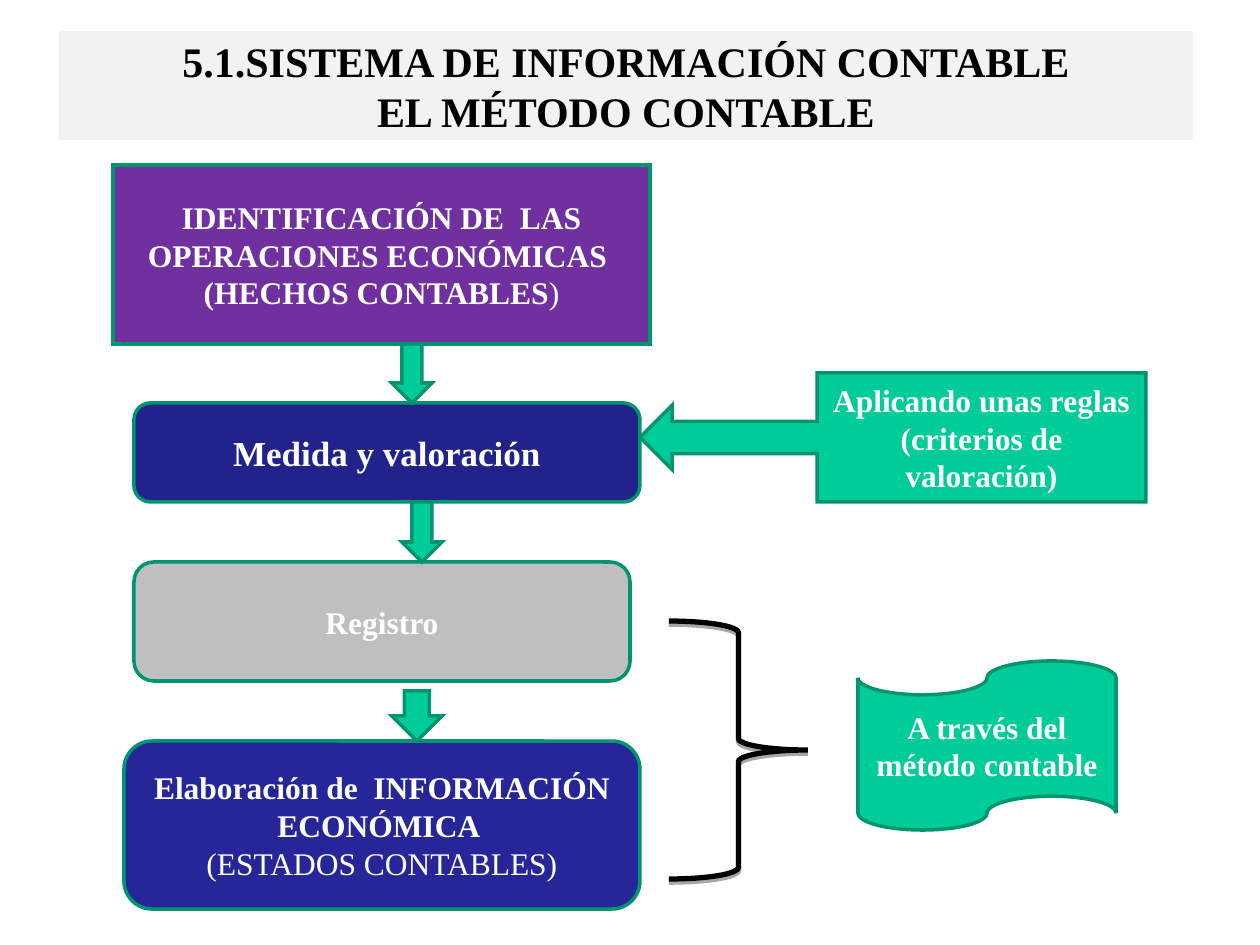
from dataclasses import dataclass

from lxml import etree
from pptx import Presentation
from pptx import util as u
from pptx.dml.color import RGBColor
from pptx.enum import shapes, text
from pptx.oxml.ns import qn

PX = 914400 / 126  # EMU in one px
FONT = "Times New Roman"
COLORS = {
    "title_fill": "F2F2F2",
    "black": "000000",
    "white": "FFFFFF",
    "purple": "7030A0",
    "navy": "22228B",
    "gray": "BFBFBF",
    "indigo": "262699",
    "green": "00CC99",
    "outline": "00956F",
}
KIND = shapes.MSO_SHAPE


@dataclass(frozen=True)
class Span:
    wording: str
    bold: bool = True


@dataclass(frozen=True)
class Block:
    kind: KIND
    left: int
    top: int
    width: int
    height: int
    fill: str
    paragraphs: tuple[tuple[Span, ...], ...] = ()
    size: int = 18
    adjustments: tuple[float, ...] = ()


@dataclass(frozen=True)
class Arrow:
    center: int
    width: int
    height: int


# Steps of the accounting process, top to bottom
STEPS = (
    Block(KIND.RECTANGLE, 113, 165, 537, 179, "purple", (
        (Span("IDENTIFICACIÓN DE  LAS OPERACIONES ECONÓMICAS "),),
        (Span("(HECHOS CONTABLES"), Span(")", bold=False)),
    )),
    Block(KIND.ROUNDED_RECTANGLE, 134, 403, 506, 99, "navy",
          ((Span("Medida y valoración"),),), size=20),
    Block(KIND.ROUNDED_RECTANGLE, 134, 562, 496, 119, "gray",
          ((Span("Registro"),),)),
    Block(KIND.ROUNDED_RECTANGLE, 124, 741, 516, 168, "indigo", (
        (Span("Elaboración de  INFORMACIÓN ECONÓMICA "),),
        (Span("(ESTADOS CONTABLES)", bold=False),),
    )),
)

# One arrow into each step after the first
ARROWS = (Arrow(412, 40, 59), Arrow(422, 40, 60), Arrow(417, 50, 50))

# Explanations on the right
METHOD_NOTE = Block(KIND.FLOWCHART_PUNCHED_TAPE, 858, 661, 258, 169, "green",
                    ((Span("A través del método contable"),),))
RULES_NOTE = Block(KIND.LEFT_ARROW_CALLOUT, 640, 373, 506, 129, "green",
                   ((Span("Aplicando unas reglas (criterios de valoración)"),),),
                   adjustments=(0.25, 0.25, 0.25, 0.65))


def emu(px: int) -> u.Emu:
    return u.Emu(round(px * PX))


def color(name: str) -> RGBColor:
    return RGBColor.from_string(COLORS[name])


def format_run(run, size: int, color_name: str, bold: bool) -> None:
    run.font.name = FONT
    run.font.size = u.Pt(size)
    run.font.bold = bold
    run.font.color.rgb = color(color_name)


def add_outlined_shape(page, kind: KIND, place: tuple[int, int, int, int],
                       line_color: str, line_width: int):
    box = page.shapes.add_shape(kind, *map(emu, place))
    box.shadow.inherit = False
    box.line.color.rgb = color(line_color)
    box.line.width = u.Pt(line_width)
    # Sharp corners
    etree.SubElement(box.element.spPr.find(qn("a:ln")), qn("a:miter"), lim="800000")
    return box


def add_block(page, block: Block) -> None:
    place = (block.left, block.top, block.width, block.height)
    box = add_outlined_shape(page, block.kind, place, "outline", 2)
    for index, value in enumerate(block.adjustments):
        box.adjustments[index] = value
    box.fill.solid()
    box.fill.fore_color.rgb = color(block.fill)

    frame = box.text_frame
    frame.word_wrap = True
    frame.vertical_anchor = text.MSO_ANCHOR.MIDDLE
    for index, spans in enumerate(block.paragraphs):
        para = frame.add_paragraph() if index else frame.paragraphs[0]
        para.alignment = text.PP_ALIGN.CENTER
        for span in spans:
            run = para.add_run()
            run.text = span.wording
            format_run(run, block.size, "white", span.bold)


def add_arrow_into(page, step: Block, arrow: Arrow) -> None:
    """Draw a down arrow whose tip touches the top of the step."""
    add_block(page, Block(KIND.DOWN_ARROW, arrow.center - arrow.width // 2,
                          step.top - arrow.height, arrow.width, arrow.height, "green"))


def add_title(page) -> None:
    title = page.shapes.title
    title.left, title.top, title.width, title.height = map(emu, (59, 31, 1134, 109))
    title.fill.solid()
    title.fill.fore_color.rgb = color("title_fill")
    frame = title.text_frame
    frame.text = "5.1.SISTEMA DE INFORMACIÓN CONTABLE\vEL MÉTODO CONTABLE"
    frame.auto_size = text.MSO_AUTO_SIZE.NONE
    frame.vertical_anchor = text.MSO_ANCHOR.MIDDLE
    para = frame.paragraphs[0]
    para.alignment = text.PP_ALIGN.CENTER
    for run in para.runs:
        format_run(run, 24, "black", bold=True)


def add_brace(page) -> None:
    brace = add_outlined_shape(page, KIND.RIGHT_BRACE, (669, 621, 139, 258), "black", 3)
    brace.fill.background()
    # Shadow straight below the line
    effects = brace.element.spPr.find(qn("a:effectLst"))
    shadow = etree.SubElement(effects, qn("a:outerShdw"), dist=str(u.Pt(1.8)),
                              dir="5400000", rotWithShape="0")
    tone = etree.SubElement(shadow, qn("a:srgbClr"), val=COLORS["black"])
    etree.SubElement(tone, qn("a:alpha"), val="35000")


def main() -> None:
    deck = Presentation()
    deck.slide_width, deck.slide_height = u.Inches(10), u.Inches(7.5)
    page = deck.slides.add_slide(deck.slide_layouts[5])

    add_title(page)
    for step in STEPS:
        add_block(page, step)
    for step, arrow in zip(STEPS[1:], ARROWS):
        add_arrow_into(page, step, arrow)
    add_brace(page)
    for note in (METHOD_NOTE, RULES_NOTE):
        add_block(page, note)

    deck.save("out.pptx")


if __name__ == "__main__":
    main()
